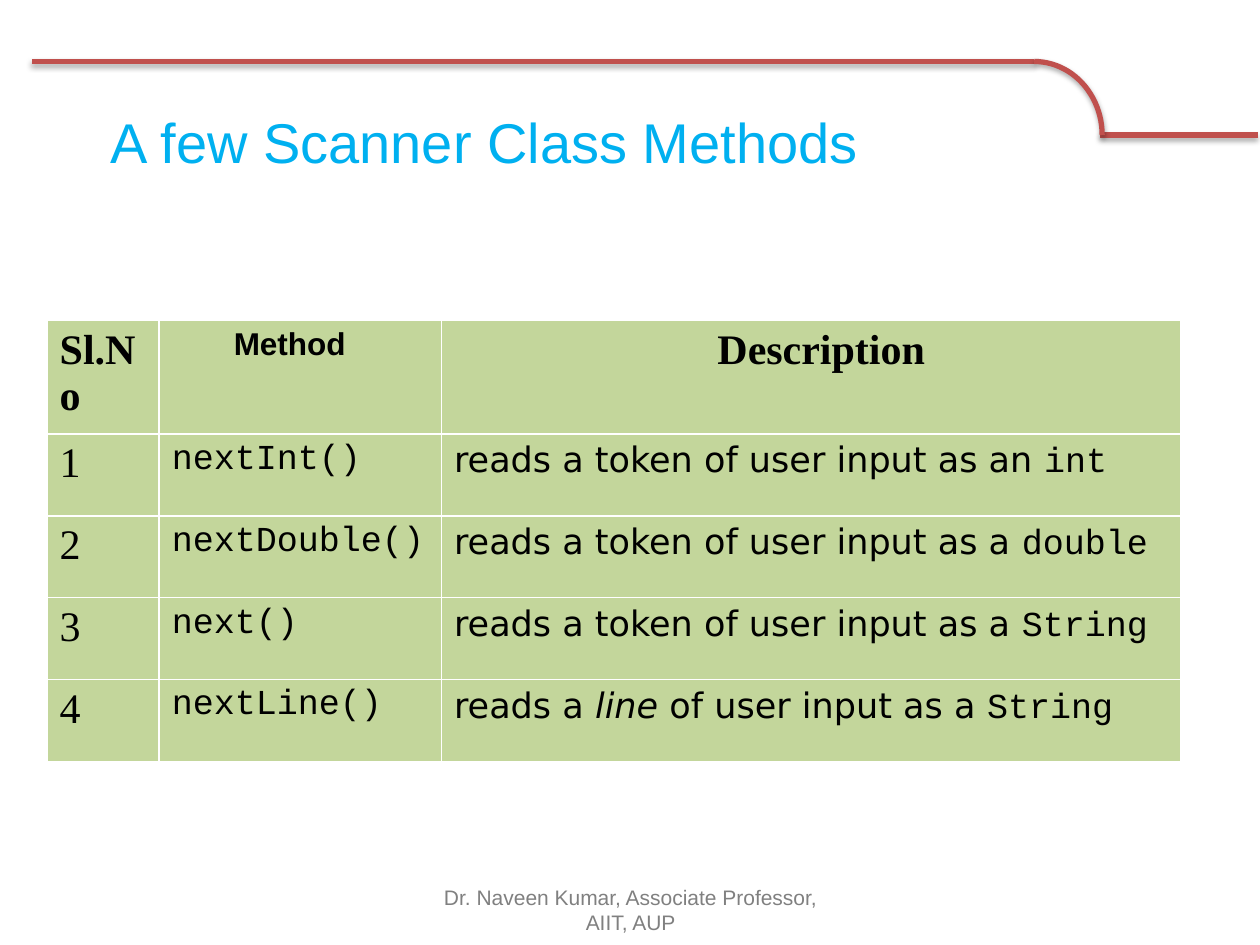
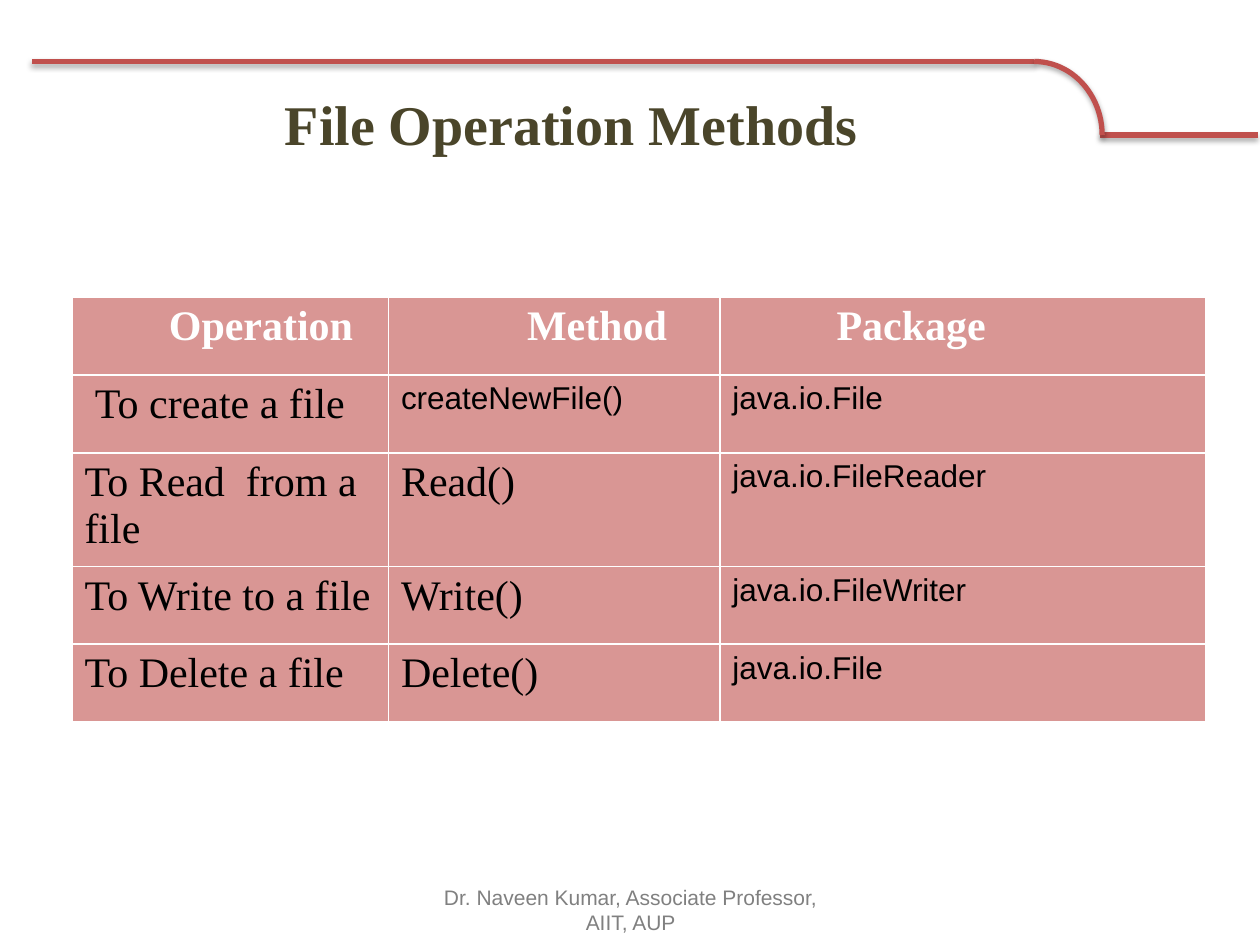
from lxml import etree
from pptx import Presentation
from pptx.dml.color import RGBColor
from pptx.enum.shapes import MSO_CONNECTOR, MSO_SHAPE
from pptx.enum.text import MSO_ANCHOR, MSO_AUTO_SIZE, PP_ALIGN
from pptx.oxml.ns import qn
from pptx.util import Cm, Pt

STRAIGHT = MSO_CONNECTOR.STRAIGHT
ARC = MSO_SHAPE.ARC
MIDDLE = MSO_ANCHOR.MIDDLE
NO_FIT = MSO_AUTO_SIZE.NONE
LEFT, CENTER = PP_ALIGN.LEFT, PP_ALIGN.CENTER
TITLE_ONLY = 5

COLORS = {
    "rule": "C0504D",
    "shadow": "000000",
    "sky": "00B0F0",
    "olive": "4A452A",
    "footer": "808080",
    "black": "000000",
    "white": "FFFFFF",
    "green": "C3D69B",
    "rose": "D99694",
}

SERIF = {"name": "Times New Roman", "size": Pt(24), "bold": False}
ARIAL = {"name": "Arial", "size": Pt(18), "bold": False}
CODE = {"name": "Courier New", "size": Pt(20), "bold": False}
SANS = {"name": "DejaVu Sans", "size": Pt(20), "bold": False}
SANS_ITALIC = {**SANS, "italic": True}
SERIF_HEAD = {**SERIF, "bold": True}
ARIAL_HEAD = {**ARIAL, "bold": True}
SKY_TITLE = {**ARIAL, "size": Pt(32)}
OLIVE_TITLE = {**SERIF_HEAD, "size": Pt(32)}
FOOTER = {**ARIAL, "size": Pt(12)}

FOOTER_TEXT = "Dr. Naveen Kumar, Associate Professor, AIIT, AUP"


def rgb(color):
    return RGBColor.from_string(COLORS[color])


def add_run(p, text, style, color):
    r = p.add_run()
    r.text = text
    for name, value in style.items():
        setattr(r.font, name, value)
    r.font.color.rgb = rgb(color)


def set_indent(p, indent):
    pPr = p._p.get_or_add_pPr()
    pPr.set("marL", str(Cm(indent)))
    pPr.set("indent", "0")


def style_rule(sp):
    """Give a line of the top band its colour, width and soft shadow."""
    sp.line.color.rgb = rgb("rule")
    sp.line.width = Pt(3)
    effects = etree.SubElement(sp._element.spPr, qn("a:effectLst"))
    shadow = etree.SubElement(
        effects, qn("a:outerShdw"), blurRad=str(Pt(3.1)), dist=str(Pt(1.8)),
        dir="5400000", rotWithShape="0")
    color = etree.SubElement(shadow, qn("a:srgbClr"), val=COLORS["shadow"])
    etree.SubElement(color, qn("a:alpha"), val="35000")


def add_band(slide):
    for x1, x2, y in ((22.17, 25.35, 2.72), (20.85, 0.64, 1.24)):
        style_rule(slide.shapes.add_connector(
            STRAIGHT, Cm(x1), Cm(y), Cm(x2), Cm(y)))
    arc = slide.shapes.add_shape(ARC, Cm(19.48), Cm(1.24), Cm(2.74), Cm(2.97))
    arc.fill.background()
    style_rule(arc)


def add_footer(slide):
    box = slide.shapes.add_textbox(Cm(8.69), Cm(17.83), Cm(8.05), Cm(1.02))
    tf = box.text_frame
    tf.word_wrap = True
    tf.vertical_anchor = MIDDLE
    p = tf.paragraphs[0]
    p.alignment = CENTER
    add_run(p, FOOTER_TEXT, FOOTER, "footer")


def set_title(slide, text, box, style, color, align, indent=0):
    title = slide.shapes.title
    for name, value in zip(("left", "top", "width", "height"), box):
        setattr(title, name, Cm(value))
    tf = title.text_frame
    tf.auto_size = NO_FIT
    tf.vertical_anchor = MIDDLE
    p = tf.paragraphs[0]
    p.alignment = align
    set_indent(p, indent)
    add_run(p, text, style, color)


def add_grid(slide, left, top, widths, heights, rows, fill, head_color, indents):
    """Add a table; a cell is a list of (text, style) runs, and indents
    maps (row, column) to a left indent in cm."""
    table = slide.shapes.add_table(
        len(rows), len(widths), Cm(left), Cm(top),
        Cm(sum(widths)), Cm(sum(heights))).table
    table.horz_banding = False
    for column, width in zip(table.columns, widths):
        column.width = Cm(width)
    for i, (row, height) in enumerate(zip(rows, heights)):
        table.rows[i].height = Cm(height)
        for j, runs in enumerate(row):
            cell = table.cell(i, j)
            cell.fill.solid()
            cell.fill.fore_color.rgb = rgb(fill)
            p = cell.text_frame.paragraphs[0]
            if (i, j) in indents:
                set_indent(p, indents[i, j])
            for text, style in runs:
                add_run(p, text, style, "black" if i else head_color)


def add_slide(prs):
    slide = prs.slides.add_slide(prs.slide_layouts[TITLE_ONLY])
    add_band(slide)
    add_footer(slide)
    return slide


def add_scanner_slide(prs):
    slide = add_slide(prs)
    set_title(slide, "A few Scanner Class Methods", (1.12, 1.93, 20.52, 1.83),
              SKY_TITLE, "sky", LEFT, indent=0.86)
    token = "reads a token of user input as "
    methods = [
        ("nextInt()", [(token + "an ", SANS), ("int", CODE)]),
        ("nextDouble()", [(token + "a ", SANS), ("double", CODE)]),
        ("next()", [(token + "a ", SANS), ("String", CODE)]),
        ("nextLine()", [("reads a ", SANS), ("line", SANS_ITALIC),
                        (" of user input as a ", SANS), ("String", CODE)]),
    ]
    rows = [[[("Sl.No", SERIF_HEAD)], [("Method", ARIAL_HEAD)],
             [("Description", SERIF_HEAD)]]]
    for number, (method, description) in enumerate(methods, 1):
        rows.append([[(str(number), SERIF)], [(method, CODE)], description])
    add_grid(slide, 0.95, 6.46, (2.26, 5.69, 14.91), [1.55] + [1.65] * 4,
             rows, "green", "black", {(0, 1): 1.25, (0, 2): 5.31})


def add_file_slide(prs):
    slide = add_slide(prs)
    set_title(slide, "File Operation Methods", (5.03, 1.57, 12.98, 1.83),
              OLIVE_TITLE, "olive", CENTER)
    operations = [
        ("To create a file", "createNewFile()", ARIAL, "java.io.File"),
        ("To Read  from a file", "Read()", SERIF, "java.io.FileReader"),
        ("To Write to a file", "Write()", SERIF, "java.io.FileWriter"),
        ("To Delete a file", "Delete()", SERIF, "java.io.File"),
    ]
    rows = [[[(head, SERIF_HEAD)] for head in ("Operation", "Method", "Package")]]
    for operation, method, method_style, java_class in operations:
        rows.append([[(operation, SERIF)], [(method, method_style)],
                     [(java_class, ARIAL)]])
    add_grid(slide, 1.45, 5.99, (6.38, 6.68, 9.8), [1.57] * 5,
             rows, "rose", "white",
             {(0, 0): 1.7, (0, 1): 2.54, (0, 2): 2.1, (1, 0): 0.21})


def main():
    prs = Presentation()
    prs.slide_width, prs.slide_height = Cm(25.4), Cm(19.05)
    add_scanner_slide(prs)
    add_file_slide(prs)
    prs.save("out.pptx")


if __name__ == "__main__":
    main()
